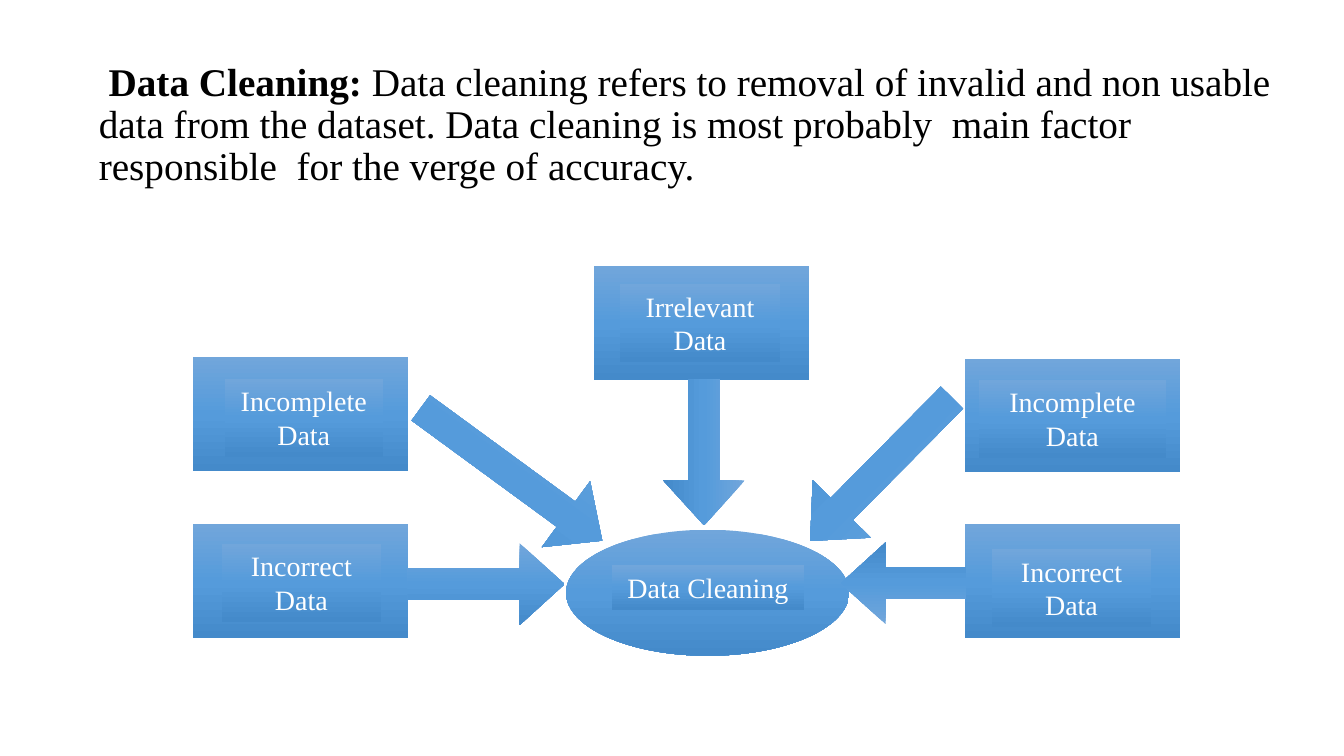
"""Build the data cleaning slide: five kinds of bad data feeding one process."""
import copy
import dataclasses

import pptx
import pptx.dml.color
import pptx.enum.shapes
import pptx.enum.text
import pptx.oxml.ns
import pptx.util

Pt = pptx.util.Pt
RGBColor = pptx.dml.color.RGBColor
Shape = pptx.enum.shapes.MSO_SHAPE
Anchor = pptx.enum.text.MSO_ANCHOR
Align = pptx.enum.text.PP_ALIGN
AutoSize = pptx.enum.text.MSO_AUTO_SIZE


@dataclasses.dataclass(frozen=True)
class Theme:
    """Colours, font and type sizes of the slide."""

    font: str = "Times New Roman"
    title_size: float = 28
    label_size: float = 20
    title_color: str = "000000"
    label_color: str = "FFFFFF"
    gradient: tuple = ((0, "71A6DB"), (0.5, "559BDB"), (1, "448ACA"))


class SlideBuilder:
    """Draw styled elements on one slide."""

    def __init__(self, slide, theme):
        """Keep the slide and its theme."""
        self.slide = slide
        self.theme = theme

    def style_font(self, paragraph, size, color):
        """Set the font of a whole paragraph."""
        paragraph.font.name = self.theme.font
        paragraph.font.size = Pt(size)
        paragraph.font.color.rgb = RGBColor.from_string(color)

    def title(self, lead, text, left, top, width, height):
        """Place the title with a bold lead and a closing line break."""
        title = self.slide.shapes.title
        title.left, title.top = Pt(left), Pt(top)
        title.width, title.height = Pt(width), Pt(height)
        frame = title.text_frame
        frame.word_wrap = True
        frame.auto_size = AutoSize.NONE
        frame.vertical_anchor = Anchor.MIDDLE
        paragraph = frame.paragraphs[0]
        paragraph.alignment = Align.LEFT
        paragraph.line_spacing = 0.9
        self.style_font(paragraph, self.theme.title_size, self.theme.title_color)
        for words, bold in ((lead, True), (text, False)):
            run = paragraph.add_run()
            run.text = words
            run.font.bold = bold
        paragraph.add_line_break()

    def block(self, kind, left, top, width, height):
        """Add a borderless preset shape with the theme gradient."""
        shape = self.slide.shapes.add_shape(
            kind, Pt(left), Pt(top), Pt(width), Pt(height))
        shape.shadow.inherit = False
        shape.line.fill.background()
        shape.fill.gradient()
        shape.fill.gradient_angle = 270
        stop_list = next(shape.element.iter(pptx.oxml.ns.qn("a:gsLst")))
        stop_list.insert(1, copy.deepcopy(stop_list[0]))
        for stop, (position, color) in zip(
                shape.fill.gradient_stops, self.theme.gradient):
            stop.position = position
            stop.color.rgb = RGBColor.from_string(color)
        return shape

    def label(self, text, left, top, width, height):
        """Add a filled rectangle with centred text."""
        shape = self.block(Shape.RECTANGLE, left, top, width, height)
        frame = shape.text_frame
        frame.word_wrap = True
        frame.auto_size = AutoSize.SHAPE_TO_FIT_TEXT
        frame.vertical_anchor = Anchor.TOP
        paragraph = frame.paragraphs[0]
        paragraph.text = text
        paragraph.alignment = Align.CENTER
        self.style_font(paragraph, self.theme.label_size, self.theme.label_color)

    def arrow(self, left, top, length, rotation):
        """Add a block arrow turned clockwise by the rotation."""
        shape = self.block(Shape.RIGHT_ARROW, left, top, length, ARROW_HEIGHT)
        shape.adjustments[0] = 0.383
        shape.adjustments[1] = 0.55
        shape.rotation = rotation


ARROW_HEIGHT = 58.4
BOX_SIZE = (154.2, 81.2)
LABEL_HEIGHT = 55.7
LEFT_COLUMN, RIGHT_COLUMN = 137.6, 689
LOWER_ROW = 374.5

SOURCES = [
    ("Irrelevant Data", (424, 190), (442.8, 203), 114.5),
    ("Incomplete Data", (LEFT_COLUMN, 255), (160.5, 270.6), 113),
    ("Incorrect Data", (LEFT_COLUMN, LOWER_ROW), (158.4, 388.4), 113.8),
    ("Incomplete Data", (RIGHT_COLUMN, 256.3), (699.1, 271.4), 133.9),
    ("Incorrect Data", (RIGHT_COLUMN, LOWER_ROW), (708.5, 392.2), 113.8),
]

ARROWS = [
    (450.7, 293.8, 104.4, 90),
    (285.1, 309.6, 160.6, 36.2),
    (291, 388.1, 112.3, 0),
    (557.3, 306, 144, 134.7),
    (600.5, 387.4, 90, 180),
]


def main():
    """Create the presentation and save it."""
    presentation = pptx.Presentation()
    presentation.slide_width, presentation.slide_height = Pt(960), Pt(540)
    slide = presentation.slides.add_slide(presentation.slide_layouts[5])
    builder = SlideBuilder(slide, Theme())
    builder.title(
        " Data Cleaning: ",
        "Data cleaning refers to removal of invalid and non usable data from "
        "the dataset. Data cleaning is most probably  main factor responsible  "
        "for the verge of accuracy.",
        63.4, 38.2, 856.8, 136.8)
    builder.block(Shape.OVAL, 404.3, 378.4, 202.3, 90)
    builder.label("Data Cleaning", 437, 403.9, 137.5, 31.5)
    for text, box, label, label_width in SOURCES:
        builder.block(Shape.RECTANGLE, *box, *BOX_SIZE)
        builder.label(text, *label, label_width, LABEL_HEIGHT)
    for arrow in ARROWS:
        builder.arrow(*arrow)
    presentation.save("out.pptx")


if __name__ == "__main__":
    main()
